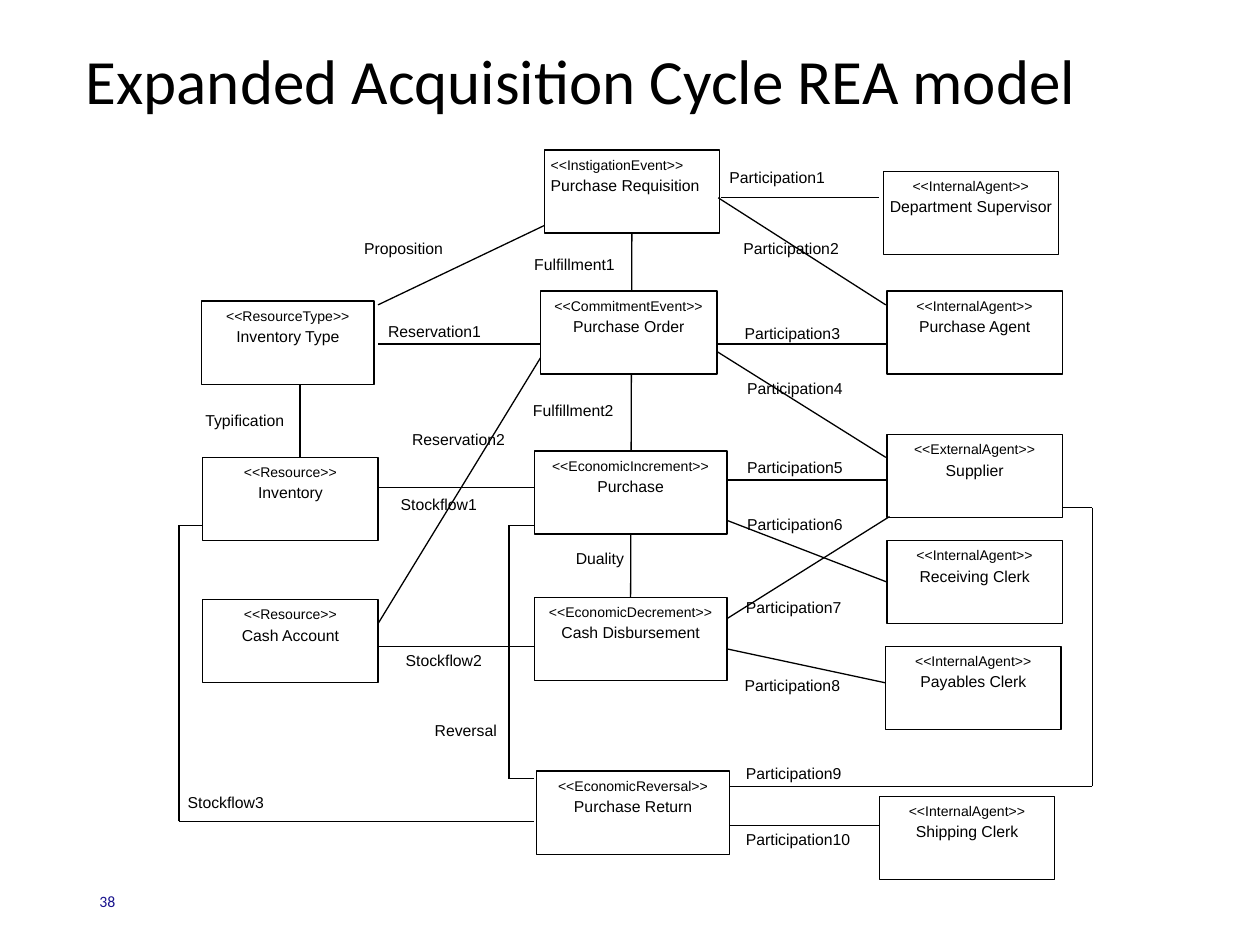
import copy

import pptx
import pptx.dml.color
import pptx.enum.shapes
import pptx.enum.text
import pptx.oxml.ns
import pptx.oxml.xmlchemy
import pptx.util
from pptx.util import Inches

BLACK = pptx.dml.color.RGBColor(0x00, 0x00, 0x00)
WHITE = pptx.dml.color.RGBColor(0xFF, 0xFF, 0xFF)
NAVY = pptx.dml.color.RGBColor(0x19, 0x13, 0x8D)
ALIGN = pptx.enum.text.PP_ALIGN
ANCHOR = pptx.enum.text.MSO_ANCHOR
RECTANGLE = pptx.enum.shapes.MSO_SHAPE.RECTANGLE
STRAIGHT = pptx.enum.shapes.MSO_CONNECTOR.STRAIGHT
TOP, LEFT, BOTTOM = 0, 1, 2


def apply(target, values):
    for attribute, value in values.items():
        setattr(target, attribute, value)


class ModelSlide:
    body_font = "Arial"
    heading_font = "Calibri"
    line_width = pptx.util.Pt(0.75)
    paragraph_format = {"line_spacing": 1.15, "space_after": pptx.util.Pt(10)}

    def __init__(self, slide):
        self.slide = slide

    def add_text(self, paragraph, text, size, font, color=BLACK):
        run = paragraph.add_run()
        run.text = text
        apply(run.font, {"name": font, "size": pptx.util.Pt(size)})
        run.font.color.rgb = color
        return run

    def title(self, text, left, top, width, height):
        heading = self.slide.shapes.title
        apply(heading, {"left": Inches(left), "top": Inches(top),
                        "width": Inches(width), "height": Inches(height)})
        heading.text_frame.vertical_anchor = ANCHOR.MIDDLE
        paragraph = heading.text_frame.paragraphs[0]
        apply(paragraph, {"alignment": ALIGN.LEFT, "line_spacing": 0.9})
        self.add_text(paragraph, text, 36, self.heading_font)

    def page_number(self, text, *bounds):
        box = self.slide.shapes.add_textbox(*map(Inches, bounds))
        apply(box.text_frame, {"word_wrap": True, "vertical_anchor": ANCHOR.MIDDLE})
        self.add_text(box.text_frame.paragraphs[0], text, 9, self.heading_font, NAVY)

    def rectangle(self, bounds, side_inset, alignment):
        shape = self.slide.shapes.add_shape(RECTANGLE, *map(Inches, bounds))
        shape.shadow.inherit = False
        shape.fill.solid()
        shape.fill.fore_color.rgb = WHITE
        apply(shape.text_frame, {
            "word_wrap": True, "vertical_anchor": ANCHOR.TOP,
            "margin_left": Inches(side_inset), "margin_right": Inches(side_inset),
            "margin_top": Inches(0.03), "margin_bottom": Inches(0.03)})
        paragraph = shape.text_frame.paragraphs[0]
        apply(paragraph, {**self.paragraph_format, "alignment": alignment})
        return shape, paragraph

    def label(self, text, left, top, width=1.37, height=0.32):
        shape, paragraph = self.rectangle((left, top, width, height), 0.03, ALIGN.LEFT)
        shape.line.fill.background()
        self.add_text(paragraph, text, 9, self.body_font)

    def entity(self, stereotype, name, left, top, width=1.39,
               side_inset=0.05, alignment=ALIGN.CENTER):
        shape, paragraph = self.rectangle((left, top, width, 0.66), side_inset, alignment)
        shape.line.color.rgb = BLACK
        shape.line.width = self.line_width
        kind = self.add_text(paragraph, f"<<{stereotype}>>", 8, self.body_font)
        paragraph.add_line_break()
        line_break = paragraph._p.find(pptx.oxml.ns.qn("a:br"))
        line_break.append(copy.deepcopy(kind._r.rPr))
        self.add_text(paragraph, name, 9, self.body_font)
        return shape

    def relation(self, *ends):
        connector = self.slide.shapes.add_connector(STRAIGHT, *map(Inches, ends))
        connector.line.color.rgb = BLACK
        connector.line.width = self.line_width
        connector._element.spPr.append(pptx.oxml.xmlchemy.OxmlElement("a:effectLst"))
        return connector

    def route(self, *points):
        for start, end in zip(points, points[1:]):
            self.relation(*start, *end)


LABELS = [
    ("Participation10", 5.89, 6.53),
    ("Participation9", 5.89, 6.01),
    ("Stockflow3", 1.46, 6.24, 1.08),
    ("Reversal", 3.42, 5.67, 1.08),
    ("Reservation2", 3.24, 3.36, 1.18),
    ("Duality", 4.54, 4.3, 0.75, 0.42),
    ("Participation8", 5.88, 5.31),
    ("Participation7", 5.89, 4.69),
    ("Participation6", 5.9, 4.03),
    ("Participation5", 5.9, 3.58),
    ("Participation4", 5.9, 2.95),
    ("Participation3", 5.88, 2.52),
    ("Participation2", 5.87, 1.84),
    ("Participation1", 5.76, 1.28),
    ("Stockflow2", 3.19, 5.11, 1.08),
    ("Stockflow1", 3.15, 3.87, 1.08),
    ("Reservation1", 3.05, 2.5, 1.18),
    ("Proposition", 2.86, 1.84, 1.08),
    ("Typification", 1.6, 3.21, 1.08, 0.42),
    ("Fulfillment1", 4.21, 1.97, 1.28, 0.45),
    ("Fulfillment2", 4.2, 3.13, 1.28, 0.45),
]

ENTITIES = [
    ("ResourceType", "Inventory Type", 1.6, 2.39, 1.37),
    ("Resource", "Inventory", 1.61, 3.63),
    ("InternalAgent", "Purchase Agent", 7.04, 2.31),
    ("InternalAgent", "Department Supervisor", 7.01, 1.36),
    ("Resource", "Cash Account", 1.61, 4.76),
    ("InstigationEvent", "Purchase Requisition", 4.32, 1.19, 1.39, 0.05, ALIGN.LEFT),
    ("ExternalAgent", "Supplier", 7.04, 3.45),
    ("InternalAgent", "Payables Clerk", 7.03, 5.13),
    ("InternalAgent", "Receiving Clerk", 7.04, 4.29),
    ("EconomicDecrement", "Cash Disbursement", 4.24, 4.74, 1.53, 0.03),
    ("EconomicIncrement", "Purchase", 4.24, 3.58, 1.53),
    ("CommitmentEvent", "Purchase Order", 4.29, 2.31, 1.4, 0.03),
    ("EconomicReversal", "Purchase Return", 4.26, 6.12, 1.53, 0.03),
    ("InternalAgent", "Shipping Clerk", 6.98, 6.32),
]

RELATIONS = [
    (3, 2.42, 4.32, 1.79),
    (3, 2.73, 4.29, 2.73),
    (3, 3.87, 4.24, 3.87),
    (3, 5.13, 4.24, 5.13),
    (2.38, 3.05, 2.38, 3.63),
    (5.72, 1.57, 6.98, 1.57),
    (5.7, 1.57, 7.03, 2.42),
    (5.7, 2.73, 7.03, 2.73),
    (5.69, 2.79, 7.03, 3.63),
    (5.77, 4.91, 7.06, 4.1),
    (5.77, 5.15, 7.03, 5.42),
    (5.77, 3.81, 7.05, 3.81),
    (3, 4.95, 4.29, 2.84),
    (5.79, 6.55, 6.98, 6.55),
]

ROUTES = [
    [(4.24, 4.17), (4.04, 4.17), (4.04, 6.18), (4.24, 6.18)],
    [(4.24, 6.52), (1.42, 6.52), (1.42, 4.17), (1.61, 4.17)],
    [(5.79, 6.24), (8.67, 6.24), (8.67, 4.03), (8.43, 4.03)],
]


def main():
    deck = pptx.Presentation()
    apply(deck, {"slide_width": Inches(10), "slide_height": Inches(7.5)})
    model = ModelSlide(deck.slides.add_slide(deck.slide_layouts[5]))
    model.title("Expanded Acquisition Cycle REA model", 0.58, 0.17, 9.08, 1)
    model.page_number("38", 0.69, 6.95, 2.25, 0.4)
    for label in LABELS:
        model.label(*label)
    event_chain = model.relation(4.98, 1.86, 4.98, 4.76)
    entities = {entity[1]: model.entity(*entity) for entity in ENTITIES}
    event_chain.begin_connect(entities["Purchase Requisition"], BOTTOM)
    event_chain.end_connect(entities["Cash Disbursement"], TOP)
    for relation in RELATIONS:
        model.relation(*relation)
    receiving = model.relation(5.77, 4.13, 7.04, 4.62)
    receiving.end_connect(entities["Receiving Clerk"], LEFT)
    for points in ROUTES:
        model.route(*points)
    deck.save("out.pptx")


if __name__ == "__main__":
    main()
